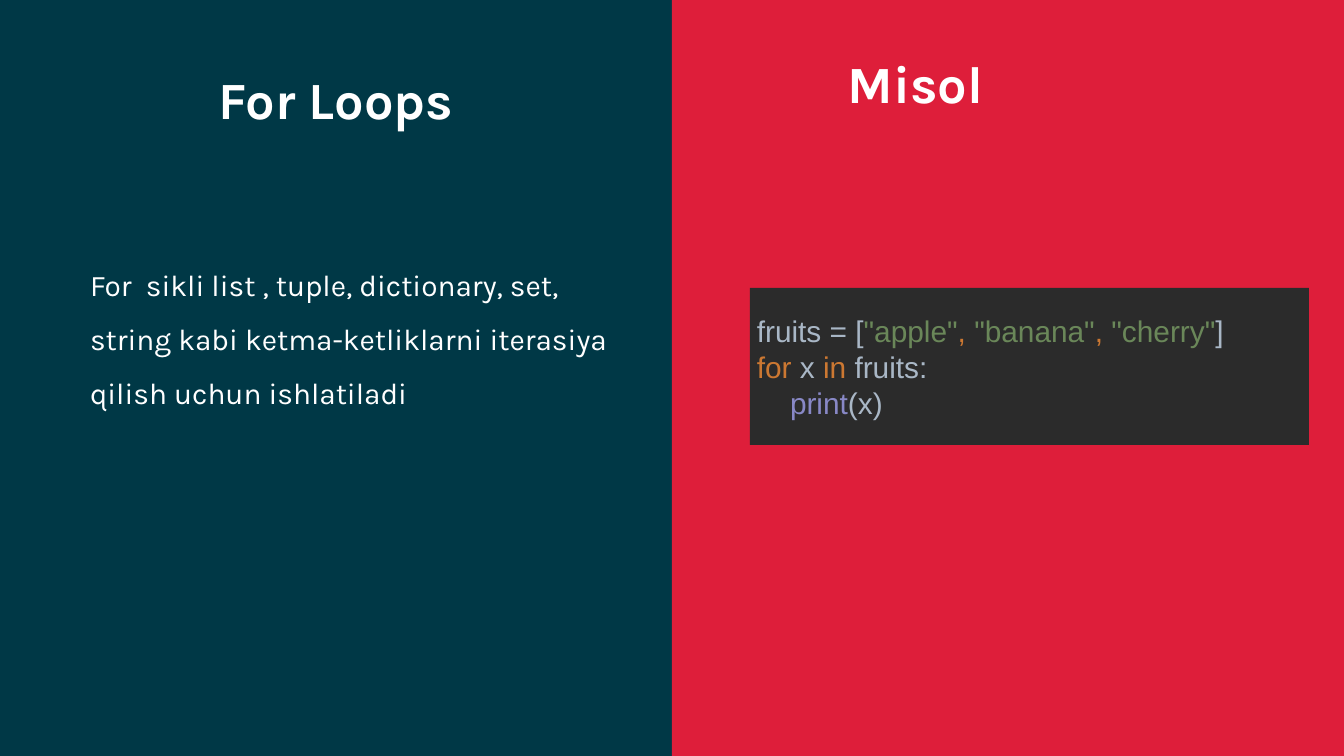
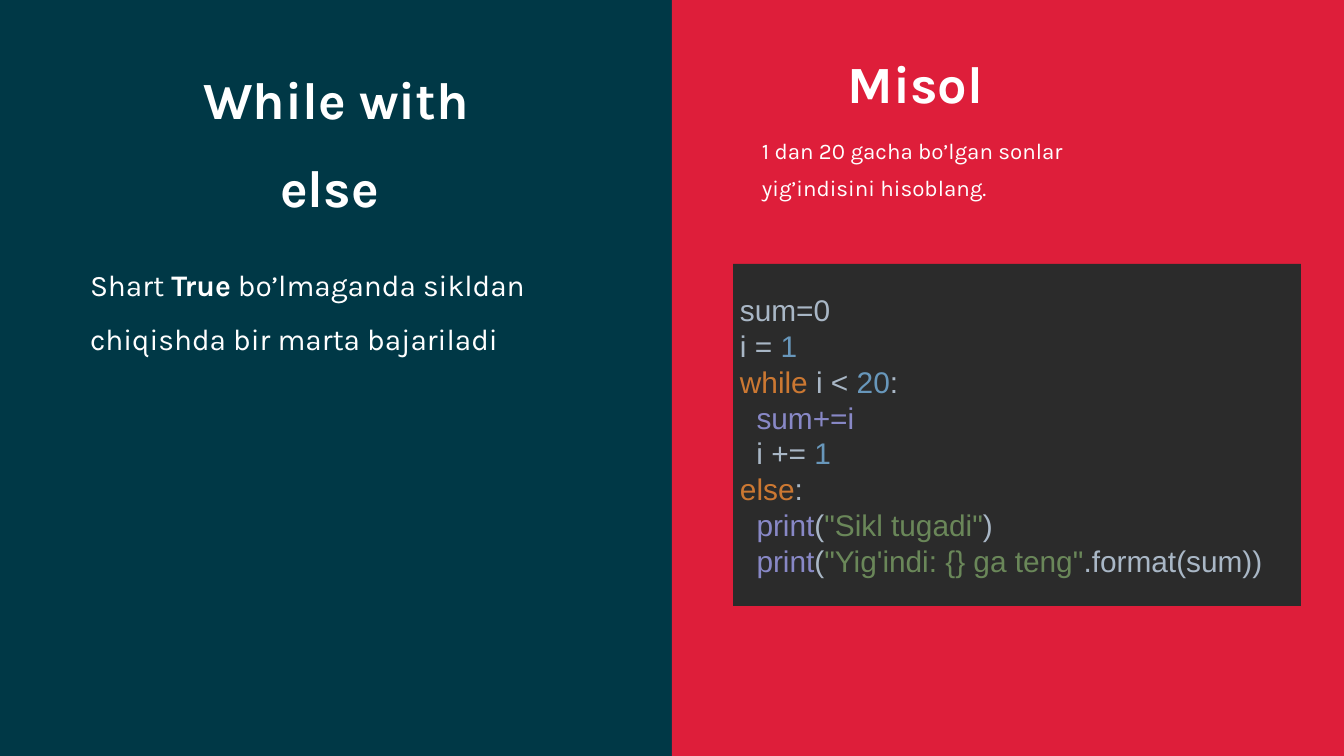
from lxml import etree
from pptx import Presentation
from pptx import util as u
from pptx.dml.color import RGBColor
from pptx.enum import shapes, text
from pptx.oxml import ns

PX = 914400 / 134.4
TEAL = RGBColor(0x00, 0x38, 0x46)
RED = RGBColor(0xDE, 0x1E, 0x3A)
WHITE = RGBColor(0xFF, 0xFF, 0xFF)
CODE_BACK = RGBColor(0x2B, 0x2B, 0x2B)
PLAIN = RGBColor(0xA9, 0xB7, 0xC6)
STRING = RGBColor(0x6A, 0x87, 0x59)
KEYWORD = RGBColor(0xCC, 0x78, 0x32)
BUILTIN = RGBColor(0x88, 0x88, 0xC6)
NUMBER = RGBColor(0x68, 0x97, 0xBB)
LEFT, CENTER = text.PP_ALIGN.LEFT, text.PP_ALIGN.CENTER


def place(shape, box, margins=(0, 0), anchor=text.MSO_ANCHOR.TOP):
    shape.left, shape.top, shape.width, shape.height = [u.Emu(round(n * PX)) for n in box]
    frame = shape.text_frame
    frame.auto_size = text.MSO_AUTO_SIZE.NONE
    frame.word_wrap = True
    frame.vertical_anchor = anchor
    frame.margin_left = frame.margin_right = round(margins[0] * PX)
    frame.margin_top = frame.margin_bottom = round(margins[1] * PX)


def write(paragraph, runs, size, font="Karla", align=LEFT, spacing=1.0):
    paragraph.alignment = align
    paragraph.line_spacing = spacing
    paragraph.space_before = u.Pt(0)
    for words, color, bold in runs:
        run = paragraph.add_run()
        run.text = words
        run.font.name = font
        run.font.size = u.Pt(size)
        run.font.color.rgb = color
        run.font.bold = bold


lessons = [
    {
        "title": "For Loops",
        "title_height": 69,
        "body": [("For  sikli list , tuple, dictionary, set, string kabi ketma-ketliklarni "
                  "iterasiya qilish uchun ishlatiladi", WHITE, False)],
        "body_height": 157,
        "caption": None,
        "code_box": (750, 288, 559, 157),
        "code": [
            [("fruits = [", PLAIN), ('"apple"', STRING), (", ", KEYWORD), ('"banana"', STRING),
             (", ", KEYWORD), ('"cherry"', STRING), ("]", PLAIN)],
            [("for ", KEYWORD), ("x ", PLAIN), ("in ", KEYWORD), ("fruits:", PLAIN)],
            [("    ", PLAIN), ("print", BUILTIN), ("(x)", PLAIN)],
        ],
    },
    {
        "title": "While with else ",
        "title_height": 141,
        "body": [("Shart ", WHITE, False), ("True", WHITE, True),
                 (" bo’lmaganda sikldan chiqishda bir marta bajariladi", WHITE, False)],
        "body_height": 102,
        "caption": "1 dan 20 gacha bo’lgan sonlar yig’indisini hisoblang.",
        "code_box": (733, 264, 568, 342),
        "code": [
            [("sum=0", PLAIN)],
            [("i = ", PLAIN), ("1", NUMBER)],
            [("while ", KEYWORD), ("i < ", PLAIN), ("20", NUMBER), (":", PLAIN)],
            [("  ", PLAIN), ("sum+=i", BUILTIN)],
            [("  i += ", PLAIN), ("1", NUMBER)],
            [("else", KEYWORD), (":", PLAIN)],
            [("  ", PLAIN), ("print", BUILTIN), ("(", PLAIN), ('"Sikl tugadi"', STRING), (")", PLAIN)],
            [("  ", PLAIN), ("print", BUILTIN), ("(", PLAIN),
             ('"Yig\'indi: {} ga teng"', STRING), (".format(sum))", PLAIN)],
        ],
    },
]

presentation = Presentation()
presentation.slide_width = round(1344 * PX)
presentation.slide_height = round(756 * PX)

for lesson in lessons:
    slide = presentation.slides.add_slide(presentation.slide_layouts[1])
    slide.background.fill.solid()
    slide.background.fill.fore_color.rgb = TEAL

    panel = slide.shapes.add_shape(shapes.MSO_SHAPE.RECTANGLE, 0, 0, 0, 0)
    place(panel, (672, 0, 672, 756))
    code = slide.shapes.add_shape(shapes.MSO_SHAPE.RECTANGLE, 0, 0, 0, 0)
    place(code, lesson["code_box"], (7, 3), text.MSO_ANCHOR.MIDDLE)
    for shape, color in ((panel, RED), (code, CODE_BACK)):
        shape.shadow.inherit = False
        shape.fill.solid()
        shape.fill.fore_color.rgb = color
        shape.line.fill.background()

    title = slide.shapes.title
    place(title, (148, 42, 376, lesson["title_height"]))
    write(title.text_frame.paragraphs[0], [(lesson["title"], WHITE, True)], 28, align=CENTER, spacing=1.4)

    body = slide.placeholders[1]
    place(body, (90, 249, 532, lesson["body_height"]))
    paragraph = body.text_frame.paragraphs[0]
    write(paragraph, lesson["body"], 16, spacing=1.5)
    properties = paragraph._p.get_or_add_pPr()
    properties.set("marL", "0")
    properties.set("indent", "0")
    etree.SubElement(properties, ns.qn("a:buNone"))

    example = slide.shapes.add_textbox(0, 0, 0, 0)
    place(example, (734, 26, 376, 69))
    write(example.text_frame.paragraphs[0], [("Misol ", WHITE, True)], 28, align=CENTER, spacing=1.4)

    if lesson["caption"]:
        caption = slide.shapes.add_textbox(0, 0, 0, 0)
        place(caption, (762, 126, 418, 62))
        write(caption.text_frame.paragraphs[0], [(lesson["caption"], WHITE, False)], 12, spacing=1.4)

    for index, line in enumerate(lesson["code"]):
        frame = code.text_frame
        paragraph = frame.add_paragraph() if index else frame.paragraphs[0]
        write(paragraph, [(words, color, False) for words, color in line], 16, "Arial")

presentation.save("out.pptx")
